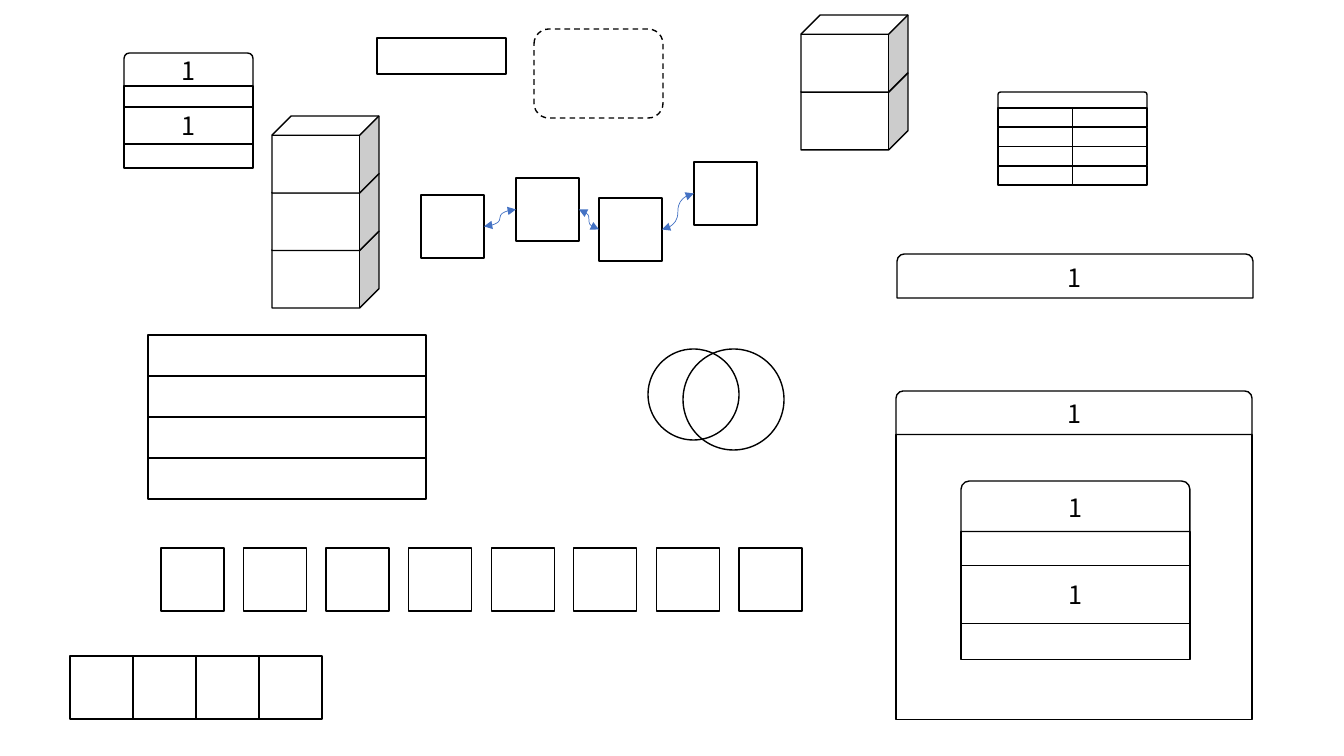
import pptx
import pptx.util
import pptx.dml.color
import pptx.enum.dml
import pptx.enum.shapes
import pptx.enum.text
import pptx.oxml.ns
from dataclasses import dataclass
from lxml import etree

KIND = pptx.enum.shapes.MSO_SHAPE
UNIT = 9144000 / 1008


@dataclass
class Theme:
    ink: str = "000000"
    paper: str = "FFFFFF"
    link: str = "4472C4"
    font: str = "Noto Sans CJK SC"
    size: int = 18
    edge: float = 1
    thin: float = 0.5


theme = Theme()

DASHED = (534, 29, 129, 89)
BAR = (377, 38, 129, 36)
LIST = dict(left=148, top=335, cols=1, rows=4, wide=278, high=41)
CARDS = [
    dict(left=124, top=53, wide=129, head=33, body=82, gap=21, mid=37),
    dict(left=896, top=391, wide=356, head=43.5, body=285),
    dict(left=961, top=481, wide=229, head=50.5, body=128, gap=34, mid=58),
]
SIDE = 63
ROW = dict(first=161, last=739, top=548, count=8)
STRIP = dict(left=70, top=656, cols=4, rows=1, wide=SIDE, high=SIDE)
CHAIN = [(421, 195), (516, 178), (599, 198), (694, 162)]
CUBES = [
    dict(left=801, first=15, last=73, count=2),
    dict(left=272, first=116, last=231, count=3),
]
CUBE = (107, 77)
RINGS = [(648, 349, 91, 91), (683, 349, 101, 101)]
GRID = dict(left=998, top=108, cols=2, rows=4, wide=74.5, high=19.3)
CAP = (998, 92, 149, 16)
TITLE = (897, 254, 356, 44)
LABEL = "1"


def emu(num):
    return round(num * UNIT)


def paint(name):
    return pptx.dml.color.RGBColor.from_string(name)


def write(shape, text, size=theme.size, font=theme.font, ink=theme.ink):
    frame = shape.text_frame
    frame.word_wrap = True
    frame.vertical_anchor = pptx.enum.text.MSO_ANCHOR.MIDDLE
    para = frame.paragraphs[0]
    para.alignment = pptx.enum.text.PP_ALIGN.CENTER
    run = para.add_run()
    run.text = text
    run.font.size = pptx.util.Pt(size)
    run.font.name = font
    run.font.color.rgb = paint(ink)
    props = run.font._element
    etree.SubElement(props, pptx.oxml.ns.qn("a:ea"), typeface=font)


def draw(home, box, kind=KIND.RECTANGLE, fill=None, text=None):
    shape = home.shapes.add_shape(kind, *map(emu, box))
    shape.shadow.inherit = False
    if fill:
        shape.fill.solid()
        shape.fill.fore_color.rgb = paint(fill)
    else:
        shape.fill.background()
    shape.line.color.rgb = paint(theme.ink)
    shape.line.width = pptx.util.Pt(theme.edge)
    if text:
        write(shape, text)
    return shape


def cells(home, left, top, cols, rows, wide, high):
    for col in range(cols):
        for row in range(rows):
            draw(home, (left + col * wide, top + row * high, wide, high))


def spread(first, last, count):
    step = (last - first) / (count - 1)
    return [first + step * i for i in range(count)]


def card(home, left, top, wide, head, body, gap=0, mid=0):
    base = top + head
    draw(home, (left, base, wide, body))
    if mid:
        draw(home, (left, base + gap, wide, mid), text=LABEL)
    draw(home, (left, top, wide, head), KIND.ROUND_2_SAME_RECTANGLE, text=LABEL)


def join(start, end):
    curve = pptx.enum.shapes.MSO_CONNECTOR.CURVE
    link = slide.shapes.add_connector(curve, 0, 0, 0, 0)
    link.begin_connect(start, 3)
    link.end_connect(end, 1)
    link.line.color.rgb = paint(theme.link)
    link.line.width = pptx.util.Pt(theme.thin)
    line = link.line._get_or_add_ln()
    for tag in ("a:headEnd", "a:tailEnd"):
        etree.SubElement(line, pptx.oxml.ns.qn(tag), type="triangle")
    etree.SubElement(link._element.spPr, pptx.oxml.ns.qn("a:effectLst"))


deck = pptx.Presentation()
deck.slide_width = emu(1344)
deck.slide_height = emu(756)
slide = deck.slides.add_slide(deck.slide_layouts[6])


def group():
    return slide.shapes.add_group_shape()


dashed = draw(slide, DASHED, KIND.ROUNDED_RECTANGLE, fill=theme.paper)
dashed.line.dash_style = pptx.enum.dml.MSO_LINE.DASH
cells(group(), **LIST)
draw(slide, BAR)

card(group(), **CARDS[0])
panel = group()
for item in CARDS[1:]:
    card(panel, **item)

row = group()
for left in spread(ROW["first"], ROW["last"], ROW["count"]):
    draw(row, (left, ROW["top"], SIDE, SIDE))
cells(group(), **STRIP)

chain = group()
nodes = [draw(chain, (left, top, SIDE, SIDE)) for left, top in CHAIN]
for start, end in zip(nodes, nodes[1:]):
    join(start, end)

for pile in CUBES:
    stack = group()
    tops = spread(pile["first"], pile["last"], pile["count"])
    for top in reversed(tops):
        draw(stack, (pile["left"], top, *CUBE), KIND.CUBE, fill=theme.paper)

for ring in RINGS:
    draw(slide, ring, KIND.OVAL)

sheet = group()
cells(sheet, **GRID)
draw(sheet, CAP, KIND.ROUND_2_SAME_RECTANGLE)
draw(slide, TITLE, KIND.ROUND_2_SAME_RECTANGLE, text=LABEL)

deck.save("out.pptx")
